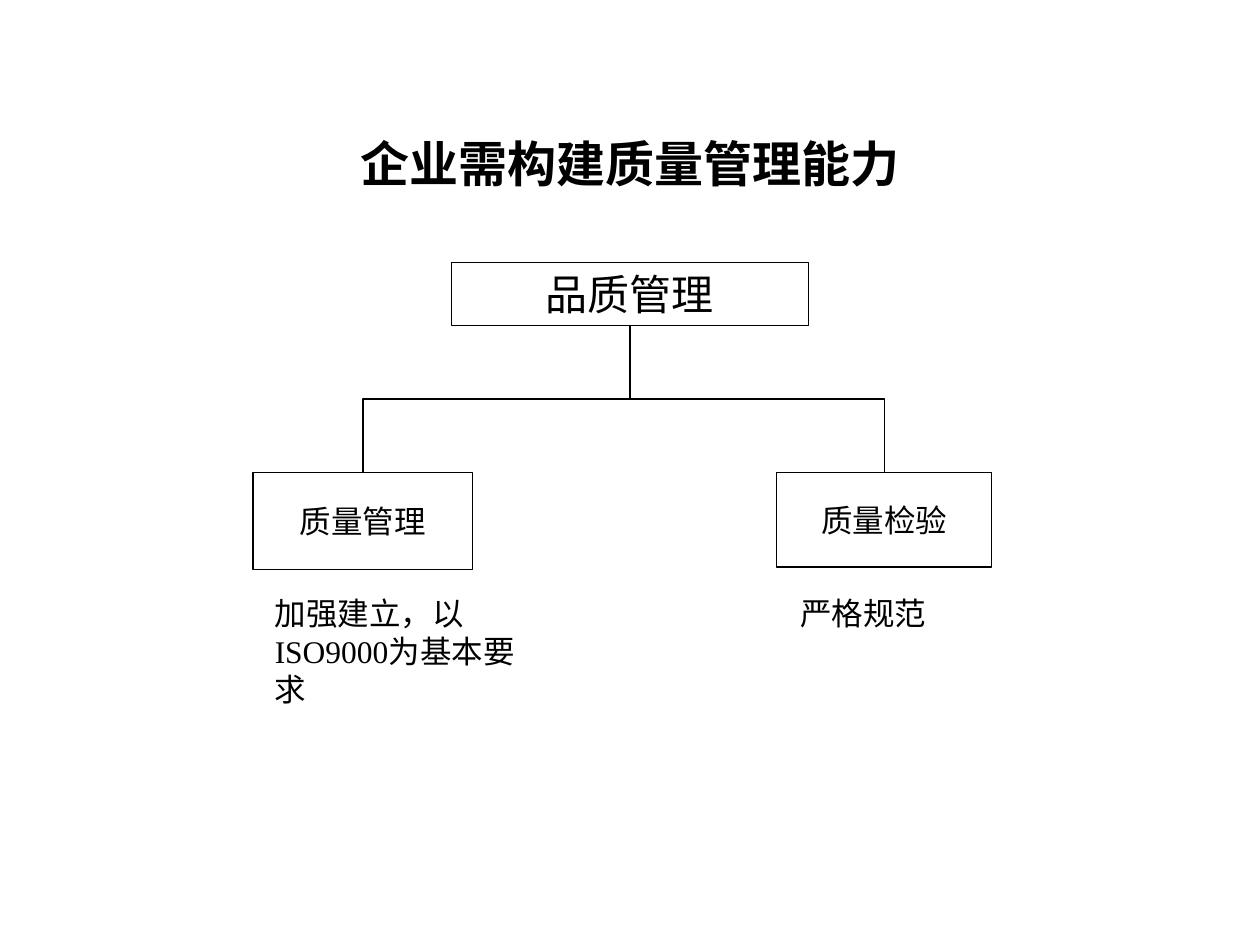
import pptx
import pptx.util
import pptx.dml.color
import pptx.enum.shapes
import pptx.enum.text
import pptx.oxml.ns
import lxml.etree
from pptx.util import Cm

BLACK = pptx.dml.color.RGBColor(0, 0, 0)
WHITE = pptx.dml.color.RGBColor(255, 255, 255)
PP_ALIGN = pptx.enum.text.PP_ALIGN
ANCHOR = pptx.enum.text.MSO_ANCHOR
qn = pptx.oxml.ns.qn


class ChartSlide:
    font_name = "Times New Roman"
    line_width = pptx.util.Pt(0.75)

    def __init__(self, slide):
        self.shapes = slide.shapes

    def set_wording(self, shape, text, size, align, anchor, bold=False):
        frame = shape.text_frame
        frame.word_wrap = True
        frame.vertical_anchor = anchor
        frame.text = text
        paragraph = frame.paragraphs[0]
        paragraph.alignment = align
        font = paragraph.runs[0].font
        font.name = self.font_name
        font.size = pptx.util.Pt(size)
        font.bold = bold
        font.color.rgb = BLACK

    def text(self, text, left, top, width, height, size=18,
             align=PP_ALIGN.LEFT, anchor=ANCHOR.TOP, bold=False):
        area = self.shapes.add_textbox(Cm(left), Cm(top), Cm(width), Cm(height))
        self.set_wording(area, text, size, align, anchor, bold)

    def box(self, text, left, top, width, height, size=18):
        box = self.shapes.add_shape(
            pptx.enum.shapes.MSO_SHAPE.RECTANGLE,
            Cm(left), Cm(top), Cm(width), Cm(height))
        box.shadow.inherit = False
        box.fill.solid()
        box.fill.fore_color.rgb = WHITE
        box.line.color.rgb = BLACK
        box.line.width = self.line_width
        self.set_wording(box, text, size, PP_ALIGN.CENTER, ANCHOR.MIDDLE)
        return box

    def branch(self, parent, child):
        """Join parent's bottom to child's top with a down-across-down elbow."""
        start_x, start_y = parent.left + parent.width // 2, parent.top + parent.height
        end_x, end_y = child.left + child.width // 2, child.top
        elbow = self.shapes.add_connector(
            pptx.enum.shapes.MSO_CONNECTOR.ELBOW, start_x, start_y, end_x, end_y)
        elbow.begin_connect(parent, 2)
        elbow.end_connect(child, 0)
        elbow.line.color.rgb = BLACK
        elbow.line.width = self.line_width

        # A vertical elbow is a horizontal one turned about its centre.
        drop, reach = end_y - start_y, abs(end_x - start_x)
        elbow.left = (start_x + end_x - drop) // 2
        elbow.top = (start_y + end_y - reach) // 2
        elbow.width, elbow.height = drop, reach
        properties = elbow.element.spPr
        frame = properties.find(qn("a:xfrm"))
        to_right = end_x > start_x
        frame.set("rot", str((270 if to_right else 90) * 60000))
        frame.set("flipH", "1" if to_right else "0")
        lxml.etree.SubElement(properties, qn("a:effectLst"))


def main():
    deck = pptx.Presentation()
    deck.slide_width, deck.slide_height = Cm(25.4), Cm(19.05)
    chart = ChartSlide(deck.slides.add_slide(deck.slide_layouts[6]))

    chart.text("企业需构建质量管理能力", 1.9, 1.7, 21.6, 3.18, size=28,
               align=PP_ALIGN.CENTER, anchor=ANCHOR.MIDDLE, bold=True)
    quality = chart.box("品质管理", 9.1, 5.29, 7.2, 1.27, size=24)
    inspection = chart.box("质量检验", 15.66, 9.53, 4.33, 1.9)
    management = chart.box("质量管理", 5.1, 9.53, 4.43, 1.95)
    for department in (management, inspection):
        chart.branch(quality, department)

    chart.text("加强建立，以ISO9000为基本要求", 5.29, 11.85, 5.93, 2.54)
    chart.text("严格规范", 15.88, 11.85, 5.93, 1.02)

    deck.save("out.pptx")


if __name__ == "__main__":
    main()
